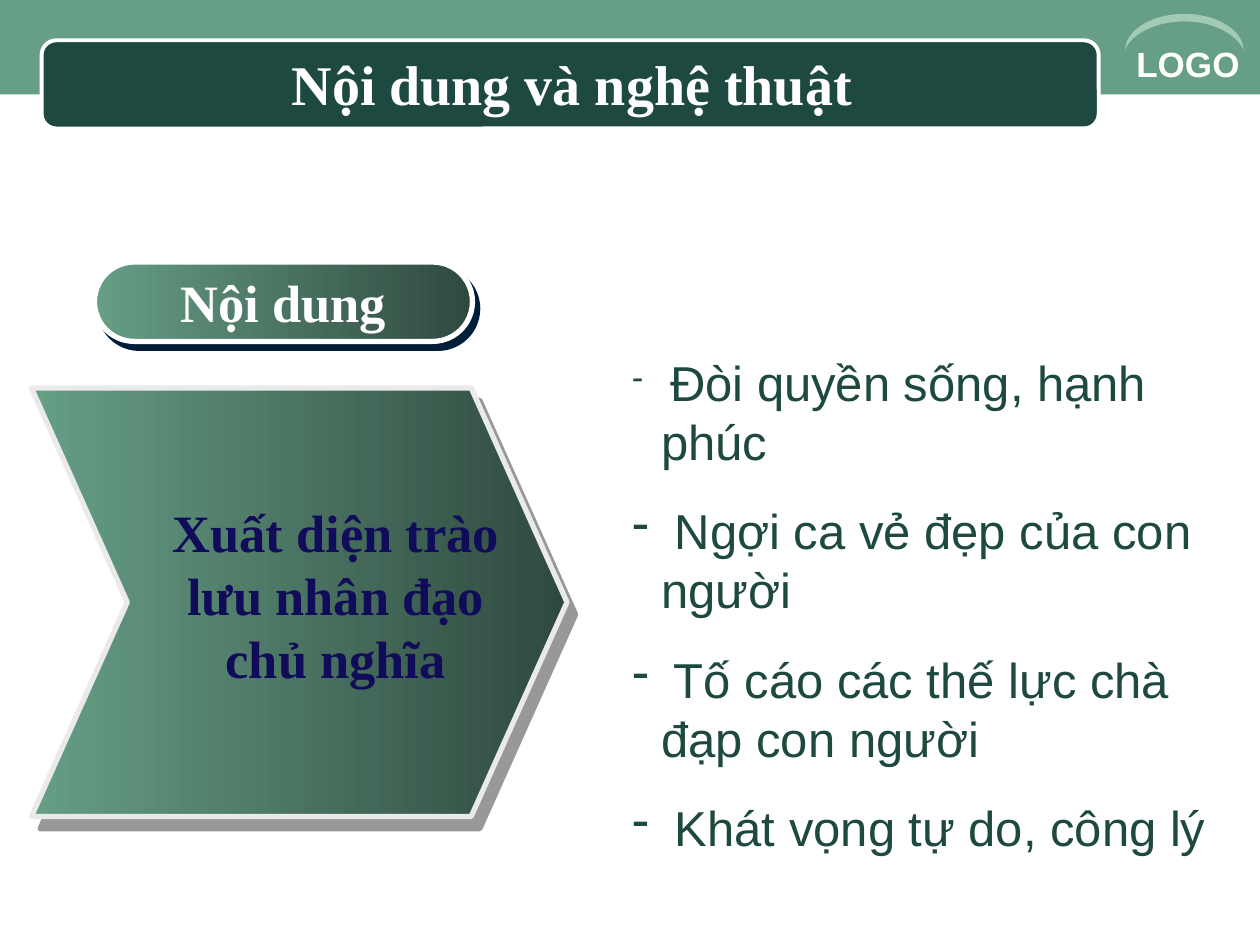
from lxml import etree
from pptx import Presentation
from pptx import util as u
from pptx.dml.color import RGBColor
from pptx.enum import shapes, text
from pptx.oxml import ns

GREEN = RGBColor(0x66, 0x9E, 0x86)
DARK_GREEN = RGBColor(0x1D, 0x49, 0x40)
GRADIENT_END = RGBColor(0x2F, 0x49, 0x3E)
PALE_GREEN = RGBColor(0xA2, 0xCA, 0xB4)
LIGHT_GREY = RGBColor(0xEA, 0xEA, 0xEA)
NAVY = RGBColor(0x10, 0x0C, 0x5A)
WHITE = RGBColor(0xFF, 0xFF, 0xFF)
SERIF = "Times New Roman"


def style_text(frame, size, name, color, bold, align):
    for paragraph in frame.paragraphs:
        paragraph.alignment = align
        for run in paragraph.runs:
            run.font.size = u.Pt(size)
            run.font.name = name
            run.font.color.rgb = color
            run.font.bold = bold


def add_gradient_shape(kind, box, adjustment, line_color, shadow):
    shape = slide.shapes.add_shape(kind, *map(u.Inches, box))
    shape.adjustments[0] = adjustment
    shape.fill.gradient()
    shape.fill.gradient_angle = 0
    for stop, color, position in zip(shape.fill.gradient_stops, (GREEN, GRADIENT_END), (0, 1)):
        stop.color.rgb = color
        stop.position = position
    shape.line.color.rgb = line_color
    shape.line.width = u.Pt(3)
    shape.shadow.inherit = False
    color, alpha, distance, angle = shadow
    effects = shape.element.spPr.find(ns.qn("a:effectLst"))
    outer = etree.SubElement(effects, ns.qn("a:outerShdw"), blurRad="0", dist=str(u.Pt(distance)),
                             dir=str(angle * 60000), algn="ctr", rotWithShape="0")
    shade = etree.SubElement(outer, ns.qn("a:srgbClr"), val=color)
    etree.SubElement(shade, ns.qn("a:alpha"), val=str(alpha * 1000))
    return shape


presentation = Presentation()
presentation.slide_width = u.Inches(10)
presentation.slide_height = u.Inches(7.5)
slide = presentation.slides.add_slide(presentation.slide_layouts[5])

band = slide.shapes.add_shape(shapes.MSO_SHAPE.RECTANGLE, 0, 0, u.Inches(10), u.Inches(0.75))
band.fill.solid()
band.fill.fore_color.rgb = GREEN
band.line.fill.background()
band.shadow.inherit = False

title_bar = slide.shapes.add_shape(shapes.MSO_SHAPE.ROUNDED_RECTANGLE, u.Inches(0.33), u.Inches(0.32),
                                   u.Inches(8.39), u.Inches(0.7))
title_bar.fill.solid()
title_bar.fill.fore_color.rgb = DARK_GREEN
title_bar.line.color.rgb = WHITE
title_bar.line.width = u.Pt(2.25)
title_bar.shadow.inherit = False

logo_label = slide.shapes.add_textbox(u.Inches(8.92), u.Inches(0.29), u.Inches(1.08), u.Inches(0.44))
logo_label.text_frame.word_wrap = True
logo_label.text_frame.text = "LOGO"
style_text(logo_label.text_frame, 20, "Arial", WHITE, True, text.PP_ALIGN.LEFT)

arc_curves = [
    ((9.87, 0.4), (9.83, 0.29), (9.65, 0.17), (9.4, 0.17)),
    ((9.4, 0.17), (9.15, 0.17), (8.96, 0.29), (8.93, 0.4)),
    ((8.93, 0.4), (8.93, 0.24), (9.14, 0.11), (9.4, 0.11)),
    ((9.4, 0.11), (9.66, 0.11), (9.87, 0.24), (9.87, 0.4)),
]
arc_points = []
for curve in arc_curves:
    for step in range(1, 13):
        t = step / 12
        weights = ((1 - t) ** 3, 3 * t * (1 - t) ** 2, 3 * t ** 2 * (1 - t), t ** 3)
        arc_points.append([u.Inches(sum(w * point[axis] for w, point in zip(weights, curve)))
                           for axis in (0, 1)])
builder = slide.shapes.build_freeform(u.Inches(9.87), u.Inches(0.4))
builder.add_line_segments(arc_points, close=True)
arc = builder.convert_to_shape()
arc.fill.solid()
arc.fill.fore_color.rgb = PALE_GREEN
arc.line.fill.background()
arc.shadow.inherit = False

title = slide.shapes.title
title.element.getparent().append(title.element)
title.left, title.top, title.width, title.height = map(u.Inches, (0.5, 0.35, 8.08, 0.62))
title.text_frame.text = "Nội dung và nghệ thuật"
title.text_frame.vertical_anchor = text.MSO_ANCHOR.MIDDLE
title.text_frame.auto_size = text.MSO_AUTO_SIZE.NONE
style_text(title.text_frame, 32, SERIF, WHITE, True, text.PP_ALIGN.CENTER)

add_gradient_shape(shapes.MSO_SHAPE.CHEVRON, (0.25, 3.08, 4.25, 3.4), 0.76 / 3.4,
                   LIGHT_GREY, ("333333", 50, 8.6, 55))
heading = add_gradient_shape(shapes.MSO_SHAPE.ROUNDED_RECTANGLE, (0.75, 2.08, 3, 0.63), 0.5,
                             WHITE, ("001D3A", 100, 5, 53))
heading.text_frame.word_wrap = False
heading.text_frame.vertical_anchor = text.MSO_ANCHOR.MIDDLE
heading.text_frame.text = "Nội dung"
style_text(heading.text_frame, 30, SERIF, WHITE, True, text.PP_ALIGN.CENTER)

theme_label = slide.shapes.add_textbox(u.Inches(1.08), u.Inches(3.92), u.Inches(3.17), u.Inches(1.6))
theme_label.text_frame.word_wrap = True
theme_label.text_frame.text = "Xuất diện trào lưu nhân đạo chủ nghĩa"
style_text(theme_label.text_frame, 30, SERIF, NAVY, True, text.PP_ALIGN.CENTER)

points = ["Đòi quyền sống, hạnh phúc", "Ngợi ca vẻ đẹp của con người",
          "Tố cáo các thế lực chà đạp con người", "Khát vọng tự do, công lý"]
point_list = slide.shapes.add_textbox(u.Inches(4.92), u.Inches(2.75), u.Inches(4.75), u.Inches(4.1))
frame = point_list.text_frame
frame.word_wrap = True
for index, point in enumerate(points):
    paragraph = frame.add_paragraph() if index else frame.paragraphs[0]
    properties = paragraph._p.get_or_add_pPr()
    properties.set("marL", str(u.Inches(0.23)))
    properties.set("indent", str(-u.Inches(0.23)))
    bullet_color = etree.SubElement(properties, ns.qn("a:buClr"))
    etree.SubElement(bullet_color, ns.qn("a:srgbClr"), val=str(DARK_GREEN))
    etree.SubElement(properties, ns.qn("a:buFontTx"))
    etree.SubElement(properties, ns.qn("a:buChar"), char="-")
    if index:
        paragraph.space_before = u.Pt(17.5)
    for words in ([" ", point] if index == 0 else [" " + point]):
        paragraph.add_run().text = words
style_text(frame, 28, "Arial", DARK_GREEN, False, text.PP_ALIGN.LEFT)
frame.paragraphs[0].runs[0].font.size = u.Pt(18)

presentation.save("out.pptx")
